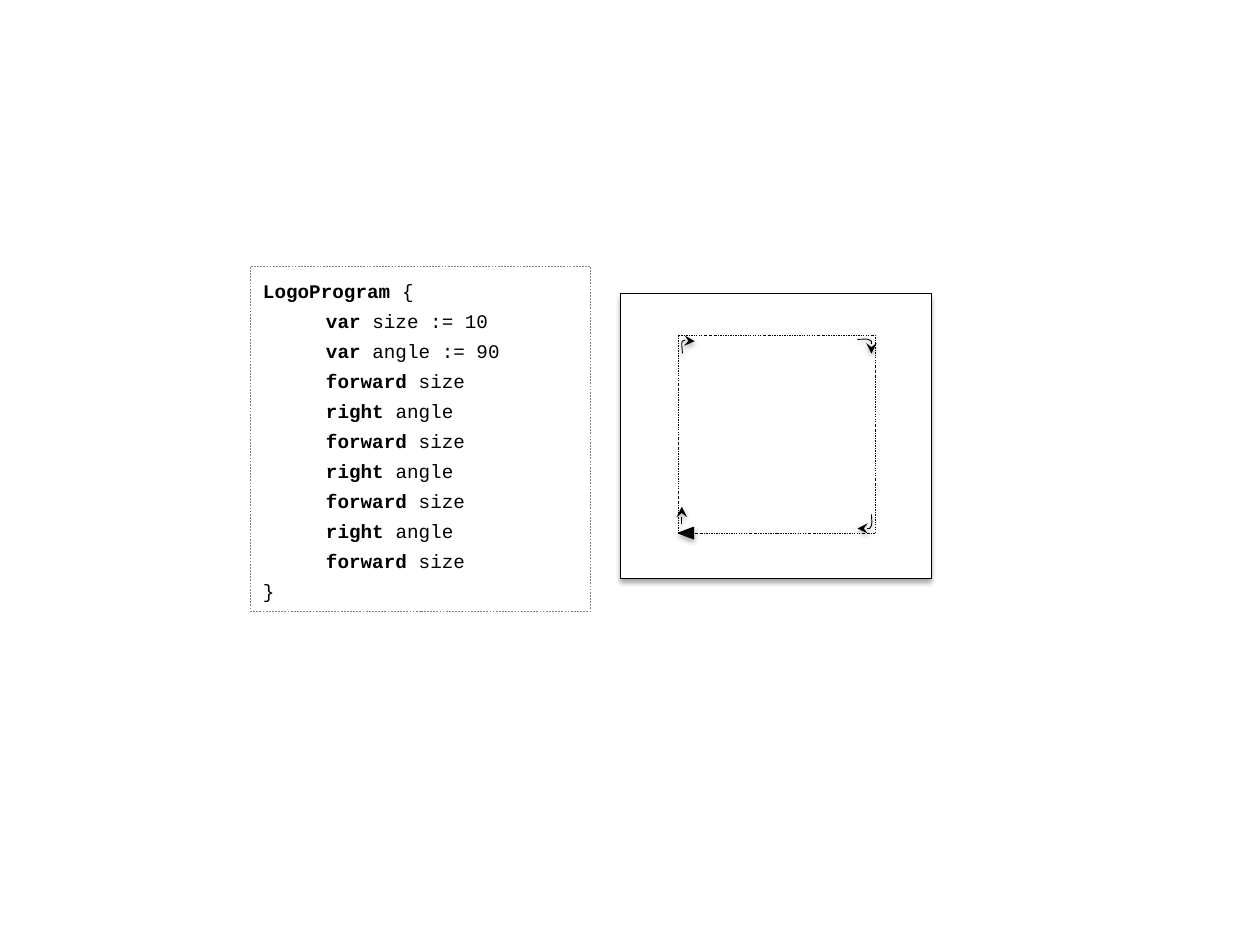
import pptx
import pptx.dml.color
import pptx.enum.dml
import pptx.enum.shapes
import pptx.enum.text
import pptx.oxml
import pptx.oxml.ns
import pptx.util

Pt = pptx.util.Pt
SHAPES = pptx.enum.shapes.MSO_SHAPE
DASHES = pptx.enum.dml.MSO_LINE
BLACK, WHITE, GREY = "000000", "FFFFFF", "808080"

PROGRAM = [
    ("LogoProgram ", "{"),
    ("\tvar", " size := 10"),
    ("\tvar", " angle := 90"),
    *[("\tforward ", "size"), ("\tright ", "angle")] * 3,
    ("\tforward ", "size"),
    ("", "}"),
]


def color(value):
    return pptx.dml.color.RGBColor.from_string(value)


def xml(text):
    return pptx.oxml.parse_xml(text.replace(" ", f" {pptx.oxml.ns.nsdecls('a')} ", 1))


def style(shape, fill, line, width, dash=None):
    shape.shadow.inherit = False
    if fill:
        shape.fill.solid()
        shape.fill.fore_color.rgb = color(fill)
    else:
        shape.fill.background()
    shape.line.color.rgb = color(line)
    shape.line.width = Pt(width)
    if dash:
        shape.line.dash_style = dash


def add_shadow(shape, distance, opacity):
    properties = shape._element.spPr
    effects = properties.find(pptx.oxml.ns.qn("a:effectLst"))
    if effects is None:
        effects = xml("<a:effectLst />")
        properties.append(effects)
    effects.append(xml(
        f'<a:outerShdw blurRad="{Pt(3.1)}" dist="{Pt(distance)}" dir="5400000" rotWithShape="0">'
        f'<a:srgbClr val="{BLACK}"><a:alpha val="{opacity * 1000}"/></a:srgbClr></a:outerShdw>'))


def add_arrowhead(shape):
    shape.line._get_or_add_ln().append(xml('<a:tailEnd type="stealth"/>'))
    add_shadow(shape, 1.6, 38)


def add_box(page, kind, left, top, width, height):
    return page.shapes.add_shape(kind, Pt(left), Pt(top), Pt(width), Pt(height))


def add_curve(page, points):
    """Draw cubic curves through a start point and groups of three points."""
    builder = page.shapes.build_freeform(*points[0], scale=Pt(1))
    builder.add_line_segments(points[1:], close=False)
    curve = builder.convert_to_shape()
    segments = list(curve._element.iter(pptx.oxml.ns.qn("a:lnTo")))
    for start in range(0, len(segments), 3):
        bezier = xml("<a:cubicBezTo />")
        segments[start].addprevious(bezier)
        for segment in segments[start:start + 3]:
            bezier.append(segment[0])
            segment.getparent().remove(segment)
    return curve


def add_program(page, left, top, width, height):
    box = add_box(page, SHAPES.RECTANGLE, left, top, width, height)
    style(box, WHITE, GREY, 0.25, DASHES.DASH)
    frame = box.text_frame
    frame.word_wrap = True
    frame.vertical_anchor = pptx.enum.text.MSO_ANCHOR.TOP
    frame.text = "\n".join(keyword + rest for keyword, rest in PROGRAM)
    for para, (keyword, rest) in zip(frame.paragraphs, PROGRAM):
        para.alignment = pptx.enum.text.PP_ALIGN.LEFT
        para.line_spacing = 1.3
        para._p.get_or_add_pPr().append(
            xml(f'<a:tabLst ><a:tab pos="{Pt(36)}" algn="l"/></a:tabLst>'))
        para.runs[0].text = keyword or rest
        if keyword:
            para.add_run().text = rest
        for span in para.runs:
            span.font.name = "Courier New"
            span.font.size = Pt(11)
            span.font.color.rgb = color(BLACK)
        para.runs[0].font.bold = bool(keyword)


def add_screen(page, left, top, width, height):
    screen = add_box(page, SHAPES.RECTANGLE, left, top, width, height)
    style(screen, WHITE, BLACK, 0.25)
    add_shadow(screen, 1.8, 35)

    # Square drawn by the program
    side = 113
    x, y = left + 33.2, top + 23.8
    square = add_box(page, SHAPES.RECTANGLE, x, y, side, side)
    style(square, WHITE, BLACK, 0.25, DASHES.DASH_DOT)

    # Right turns at three corners, each a quarter turn from the last
    turn = [(2.2, 10.1), (2.2, 7.2), (1.6, 4.3), (3, 2.9), (4.4, 2.2), (10, 2.9), (10, 2.9)]
    for _ in range(3):
        arrow = add_curve(page, [(x + across, y + down) for across, down in turn])
        style(arrow, None, BLACK, 0.5)
        add_arrowhead(arrow)
        turn = [(side - down, across) for across, down in turn]

    # Turtle at the start corner
    turtle = add_box(page, SHAPES.ISOSCELES_TRIANGLE, x + 1.4, y + side - 4.3, 6.5, 8.6)
    turtle.rotation = 270
    style(turtle, BLACK, BLACK, 0.75)
    add_shadow(turtle, 1.8, 35)

    # First step forward
    step = page.shapes.add_connector(
        pptx.enum.shapes.MSO_CONNECTOR.STRAIGHT,
        Pt(x + 2.2), Pt(y + side - 5), Pt(x + 2.2), Pt(y + side - 15))
    step.line.color.rgb = color(BLACK)
    step.line.width = Pt(0.5)
    add_arrowhead(step)


def main():
    deck = pptx.Presentation()
    deck.slide_width, deck.slide_height = Pt(720), Pt(540)
    page = deck.slides.add_slide(deck.slide_layouts[6])
    add_program(page, 143.2, 152, 194.4, 197.3)
    add_screen(page, 354.2, 167.8, 177.8, 162.7)
    deck.save("out.pptx")


if __name__ == "__main__":
    main()
